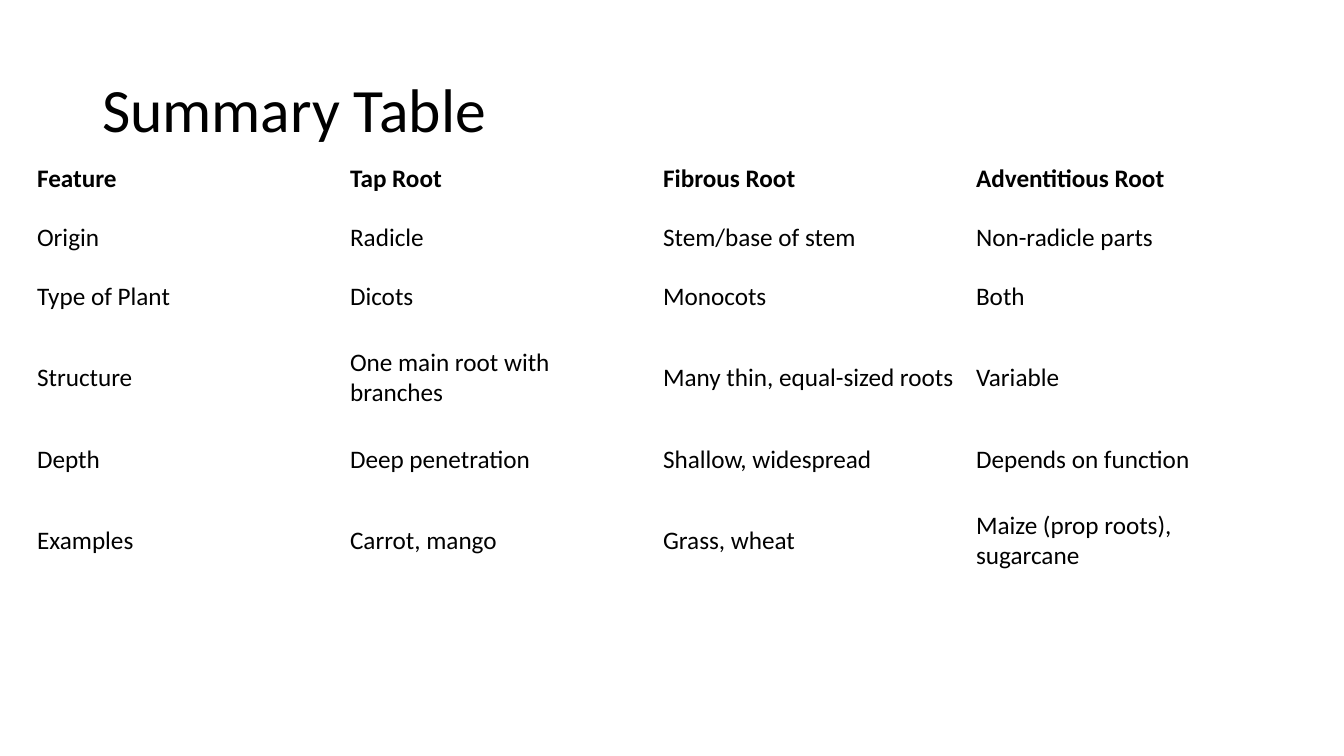
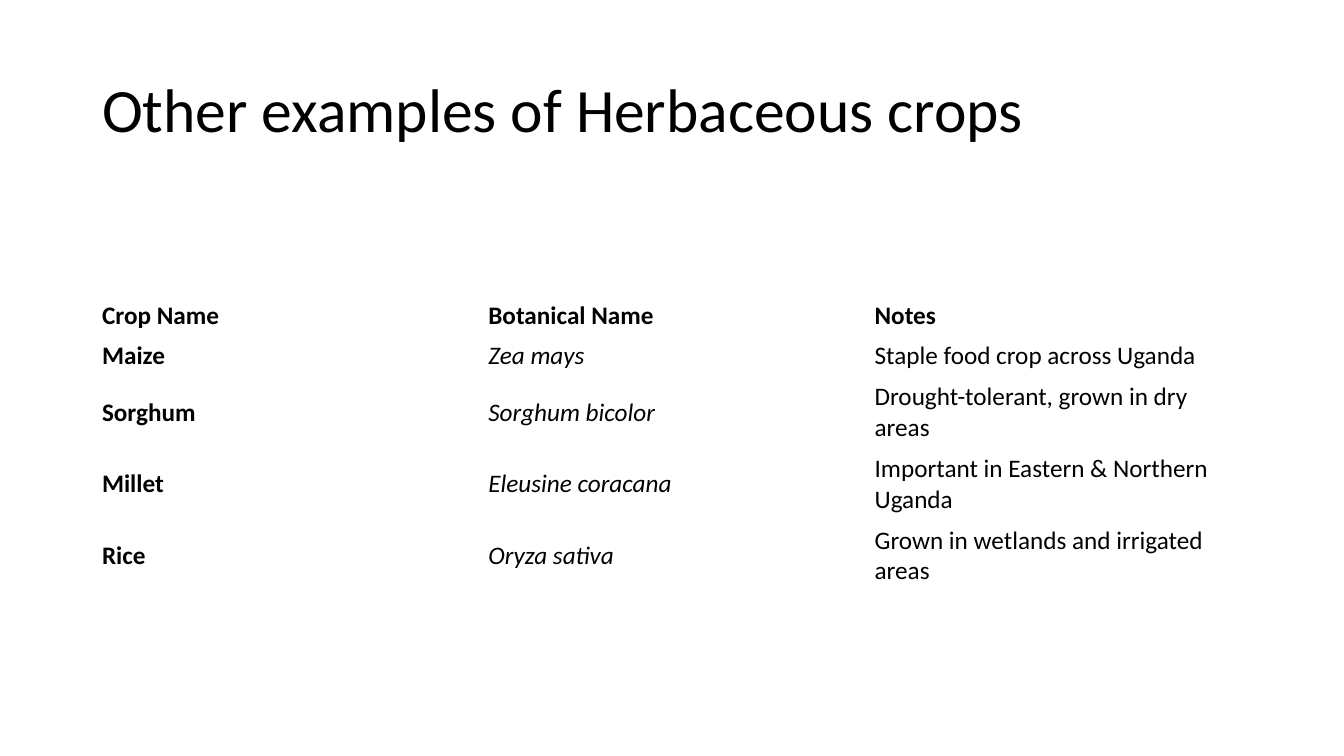
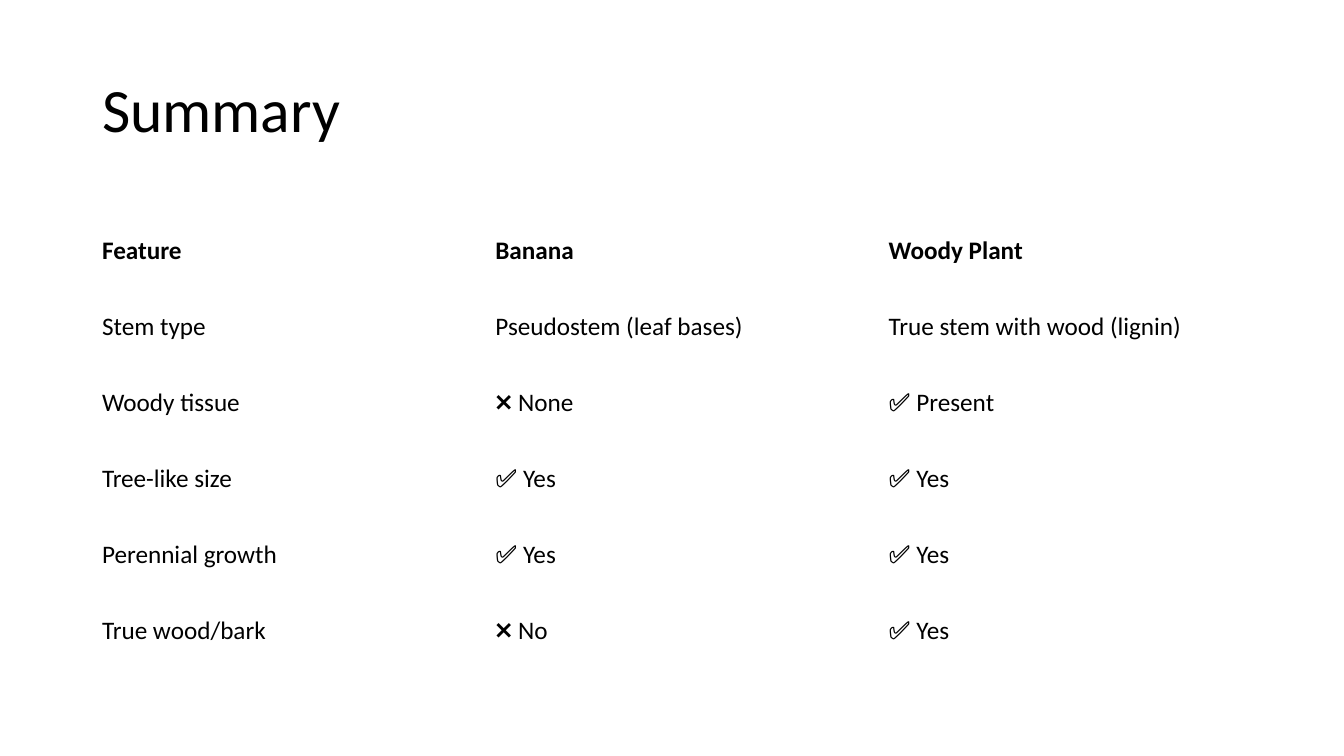
from pptx import Presentation
from pptx.dml.color import RGBColor
from pptx.enum import text as txt
from pptx.util import Pt

PX = 914400 / 100.8
WIDTH, HEIGHT = 1344, 756
FONT, INK = "Calibri", "000000"
TITLE_AREA = (92, 40, 1159, 146)
PLAIN, BOLD, ITALIC = {}, {"bold": True}, {"italic": True}

SLIDES = [
    {
        "title": "Summary Table",
        "left": 27, "top": 149, "width": 1252,
        "heights": [59, 59, 59, 104, 59, 104],
        "styles": [PLAIN] * 4,
        "rows": [
            ("Feature", "Tap Root", "Fibrous Root", "Adventitious Root"),
            ("Origin", "Radicle", "Stem/base of stem", "Non-radicle parts"),
            ("Type of Plant", "Dicots", "Monocots", "Both"),
            ("Structure", "One main root with branches",
             "Many thin, equal-sized roots", "Variable"),
            ("Depth", "Deep penetration", "Shallow, widespread",
             "Depends on function"),
            ("Examples", "Carrot, mango", "Grass, wheat",
             "Maize (prop roots), sugarcane"),
        ],
    },
    {
        "title": "Other examples of Herbaceous crops",
        "left": 92, "top": 295, "width": 1159,
        "heights": [40, 40, 71, 71, 71],
        "styles": [BOLD, ITALIC, PLAIN],
        "rows": [
            ("Crop Name", "Botanical Name", "Notes"),
            ("Maize", "Zea mays", "Staple food crop across Uganda"),
            ("Sorghum", "Sorghum bicolor",
             "Drought-tolerant, grown in dry areas"),
            ("Millet", "Eleusine coracana",
             "Important in Eastern & Northern Uganda"),
            ("Rice", "Oryza sativa", "Grown in wetlands and irrigated areas"),
        ],
    },
    {
        "title": "Summary",
        "left": 92, "top": 213, "width": 1180,
        "heights": [76] * 6,
        "styles": [PLAIN] * 3,
        "rows": [
            ("Feature", "Banana", "Woody Plant"),
            ("Stem type", "Pseudostem (leaf bases)",
             "True stem with wood (lignin)"),
            ("Woody tissue", "❌ None", "✅ Present"),
            ("Tree-like size", "✅ Yes", "✅ Yes"),
            ("Perennial growth", "✅ Yes", "✅ Yes"),
            ("True wood/bark", "❌ No", "✅ Yes"),
        ],
    },
]


def px(length):
    return round(length * PX)


def color(value):
    return RGBColor.from_string(value)


def write(frame, content, size=18, bold=False, italic=False, spacing=1.0):
    para = frame.paragraphs[0]
    para.alignment = txt.PP_ALIGN.LEFT
    para.line_spacing = spacing
    span = para.add_run()
    span.text = content
    font = span.font
    font.name, font.size = FONT, Pt(size)
    font.bold, font.italic = bold, italic
    font.color.rgb = color(INK)


def add_title(page, content):
    title = page.shapes.title
    title.left, title.top, title.width, title.height = map(px, TITLE_AREA)
    title.text_frame.vertical_anchor = txt.MSO_ANCHOR.MIDDLE
    write(title.text_frame, content, size=44, spacing=0.9)


def add_grid(page, data):
    rows, heights = data["rows"], data["heights"]
    columns = len(rows[0])
    table = page.shapes.add_table(
        len(rows), columns, px(data["left"]), px(data["top"]),
        px(data["width"]), px(sum(heights))).table
    table.horz_banding = False
    for column in table.columns:
        column.width = px(data["width"] / columns)
    for index, (row, height) in enumerate(zip(rows, heights)):
        table.rows[index].height = px(height)
        styles = data["styles"] if index else [BOLD] * columns
        for cell, content, style in zip(table.rows[index].cells, row, styles):
            cell.fill.background()
            cell.vertical_anchor = txt.MSO_ANCHOR.MIDDLE
            write(cell.text_frame, content, **style)


def main():
    deck = Presentation()
    deck.slide_width, deck.slide_height = px(WIDTH), px(HEIGHT)
    for data in SLIDES:
        page = deck.slides.add_slide(deck.slide_layouts[5])
        add_title(page, data["title"])
        add_grid(page, data)
    deck.save("out.pptx")


if __name__ == "__main__":
    main()
